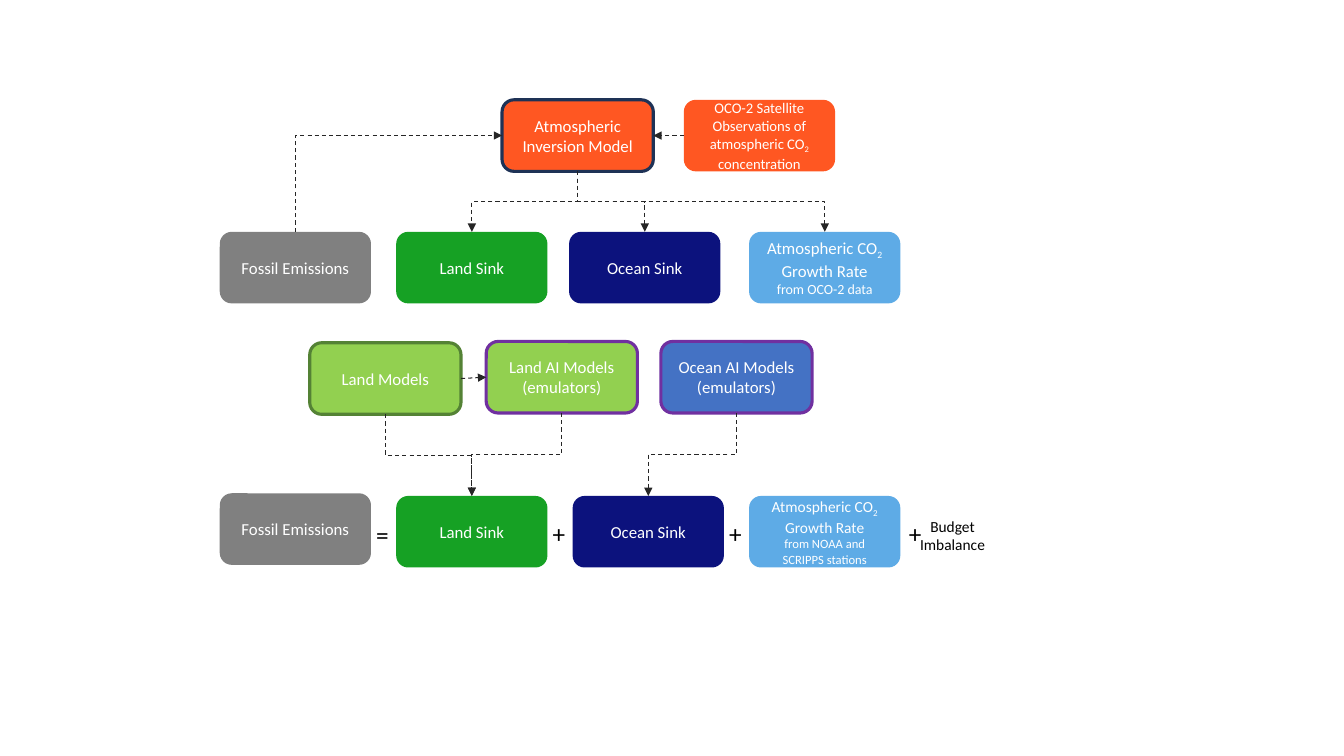
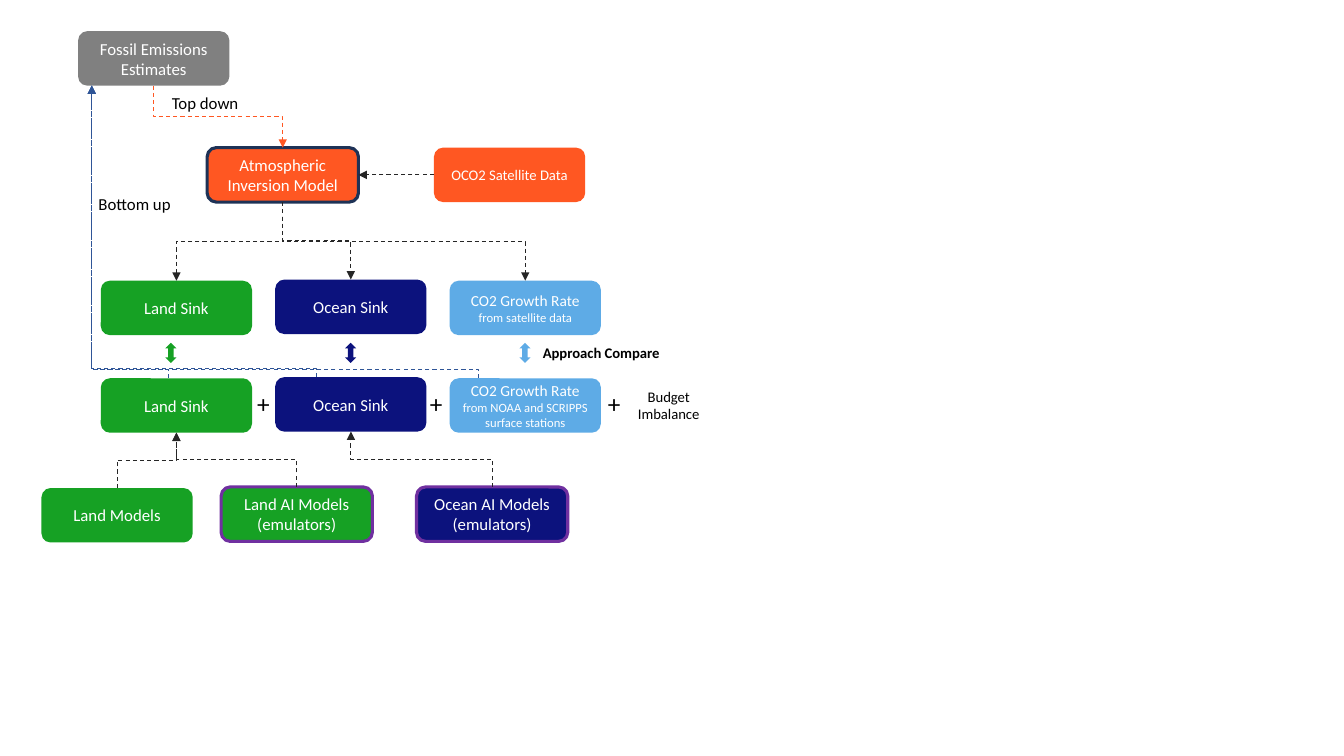
"""Build two flow charts of the carbon budget, one on each slide."""
from dataclasses import dataclass

from pptx import Presentation, util as u
from pptx.dml.color import RGBColor
from pptx.enum import dml, shapes, text
from pptx.oxml.ns import qn


@dataclass(frozen=True)
class Theme:
    font: str = "Calibri"
    white: str = "FFFFFF"
    black: str = "000000"
    ink: str = "262626"
    grey: str = "808080"
    fire: str = "FF5722"
    navy: str = "1E3256"
    land: str = "16A124"
    sea: str = "0C127D"
    sky: str = "5EABE6"
    lime: str = "92D050"
    moss: str = "548235"
    blue: str = "4472C4"
    plum: str = "7030A0"
    steel: str = "2F5597"
    sign: float = 18
    body: float = 12
    mid: float = 11
    note: float = 10.5
    sub: float = 10
    tiny: float = 9
    edge: float = 2.25
    hair: float = 0.75


T = Theme()
RGB = RGBColor.from_string
TOP, LEFT, BOTTOM, RIGHT = range(4)
LINE, BENT = shapes.MSO_CONNECTOR.STRAIGHT, shapes.MSO_CONNECTOR.ELBOW


def write(frame, rows, ink, align, bold=False):
    """Fill a frame with (words, size) rows; text between underscores is subscript."""
    for n, (words, size) in enumerate(rows):
        para = frame.paragraphs[0] if n == 0 else frame.add_paragraph()
        para.alignment = align
        para.font.name, para.font.size = T.font, u.Pt(size)
        para.font.bold, para.font.color.rgb = bold, RGB(ink)
        for k, part in enumerate(words.split("_")):
            run = para.add_run()
            run.text = part
            if k % 2:
                run.font._element.set("baseline", "-25000")


def trace(line, ink, bend=None, corner=False):
    """Style a connector as a dashed arrow; an elbow leaves its start vertically."""
    line.line.color.rgb, line.line.width = RGB(ink), u.Pt(T.hair)
    line.line.dash_style = dml.MSO_LINE.DASH
    props = line._element.spPr
    stroke = props.find(qn("a:ln"))
    stroke.append(stroke.makeelement(qn("a:tailEnd"), {"type": "triangle"}))
    props.append(props.makeelement(qn("a:effectLst"), {}))
    geom = props.find(qn("a:prstGeom"))
    if geom.get("prst") == "line":
        return
    x, y, dx, dy = line.begin_x, line.begin_y, line.end_x - line.begin_x, line.end_y - line.begin_y
    wide, high = abs(dy), abs(dx)
    line.left, line.top = int(x + (dx - wide) / 2), int(y + (dy - high) / 2)
    line.width, line.height = wide, high
    frame = props.find(qn("a:xfrm"))
    frame.set("rot", str(60000 * (270 if (dx > 0) == (dy > 0) else 90)))
    frame.set("flipH", str(int(dx > 0)))
    frame.set("flipV", str(int(dy < 0)))
    if corner:
        geom.set("prst", "bentConnector2")
    if bend:
        guides = geom.get_or_add_avLst()
        guides.append(guides.makeelement(
            qn("a:gd"), {"name": "adj1", "fmla": f"val {int(bend * 100000)}"}))


fossil = [("Fossil Emissions", T.body)]
sink = [("Land Sink", T.body)]
ocean = [("Ocean Sink", T.body)]
model = [("Land Models", T.body)]
landai = [("Land AI Models", T.body), ("(emulators)", T.body)]
seaai = [("Ocean AI Models", T.body), ("(emulators)", T.body)]
invert = [("Atmospheric Inversion Model", T.body)]
growth = "Atmospheric CO_2_ Growth Rate"

CHARTS = [
    dict(
        start=(2.18, 0.99), pitch=(1.75, 1.31), size=(1.5, 0.71),
        boxes={
            "invert": (1.6, 0, T.fire, T.navy, invert),
            "data": (2.63, 0, T.fire, None, [
                ("OCO-2 Satellite", T.note),
                ("Observations of atmospheric CO_2_ concentration", T.note)]),
            "fossil": (0, 1, T.grey, None, fossil),
            "land": (1, 1, T.land, None, sink),
            "sea": (1.98, 1, T.sea, None, ocean),
            "air": (3, 1, T.sky, None, [(growth, T.body), ("from OCO-2 data", T.sub)]),
            "model": (0.51, 1.84, T.lime, T.moss, model),
            "landai": (1.51, 1.83, T.lime, T.plum, landai),
            "seaai": (2.5, 1.83, T.blue, T.plum, seaai),
            "fossil2": (0, 2.98, T.grey, None, fossil),
            "land2": (1, 3, T.land, None, sink),
            "sea2": (2, 3, T.sea, None, ocean),
            "air2": (3, 3, T.sky, None, [
                (growth, T.mid), ("from NOAA and SCRIPPS stations", T.tiny)]),
        },
        links=[
            ("fossil", TOP, "invert", LEFT, BENT, T.ink),
            ("model", RIGHT, "landai", LEFT, LINE, T.ink),
            ("model", BOTTOM, "land2", TOP, BENT, T.ink),
            ("landai", BOTTOM, "land2", TOP, BENT, T.ink),
            ("seaai", BOTTOM, "sea2", TOP, BENT, T.ink),
        ],
        signs=[(0.83, 3.14, "="), (1.83, 3.13, "+"), (2.83, 3.13, "+"), (3.85, 3.13, "+")],
        notes=[(3.91, 3.12, 0.85, 0.47, [("Budget", T.mid), ("Imbalance", T.mid)], False)],
        swaps=[], rise=[],
    ),
    dict(
        start=(1, 0.31), pitch=(1.73, 1.1), size=(1.5, 0.54),
        boxes={
            "fossil": (-0.13, 0, T.grey, None, fossil + [("Estimates", T.body)]),
            "invert": (0.61, 1.05, T.fire, T.navy, invert),
            "data": (1.91, 1.05, T.fire, None, [("OCO2 Satellite Data", T.note)]),
            "land": (0, 2.25, T.land, None, sink),
            "sea": (1, 2.24, T.sea, None, ocean),
            "air": (2, 2.25, T.sky, None, [
                ("CO2 Growth Rate", T.mid), ("from satellite data", T.tiny)]),
            "land2": (0, 3.13, T.land, None, sink),
            "sea2": (1, 3.12, T.sea, None, ocean),
            "air2": (2, 3.13, T.sky, None, [
                ("CO2 Growth Rate", T.mid), ("from NOAA and SCRIPPS", T.tiny),
                ("surface stations", T.tiny)]),
            "model": (-0.34, 4.12, T.land, None, model),
            "landai": (0.69, 4.11, T.land, T.plum, landai),
            "seaai": (1.81, 4.11, T.sea, T.plum, seaai),
        },
        links=[
            ("fossil", BOTTOM, "invert", TOP, BENT, T.fire),
            ("model", TOP, "land2", BOTTOM, BENT, T.ink),
            ("landai", TOP, "land2", BOTTOM, BENT, T.ink),
            ("seaai", TOP, "sea2", BOTTOM, BENT, T.ink),
        ],
        signs=[(0.84, 3.18, "+"), (1.83, 3.18, "+"), (2.85, 3.18, "+")],
        notes=[
            (3.01, 3.17, 0.85, 0.47, [("Budget", T.note), ("Imbalance", T.note)], False),
            (-0.07, 1.42, 0.96, 0.3, [("Bottom up", T.body)], False),
            (0.35, 0.51, 0.96, 0.3, [("Top down", T.body)], False),
            (2.47, 2.77, 1.38, 0.28, [("Approach Compare", T.note)], True),
        ],
        swaps=[(0.37, T.land), (1.4, T.sea), (2.4, T.sky)],
        rise=[("land2", 0.45), ("sea2", 0.27), ("air2", 0.19)],
    ),
]
FAN = [("data", LEFT, "invert", RIGHT, LINE, T.ink)]
FAN += [("invert", BOTTOM, name, TOP, BENT, T.ink) for name in ("land", "sea", "air")]

deck = Presentation()
deck.slide_width, deck.slide_height = u.Inches(13.33), u.Inches(7.5)

for chart in CHARTS:
    page = deck.slides.add_slide(deck.slide_layouts[6]).shapes
    (x0, y0), (dx, dy) = chart["start"], chart["pitch"]
    wide, high = map(u.Inches, chart["size"])

    made = {}
    for name, (col, row, fill, edge, rows) in chart["boxes"].items():
        box = page.add_shape(shapes.MSO_SHAPE.ROUNDED_RECTANGLE,
                             u.Inches(x0 + col * dx), u.Inches(y0 + row * dy), wide, high)
        box.shadow.inherit = False
        box.fill.solid()
        box.fill.fore_color.rgb = RGB(fill)
        if edge:
            box.line.color.rgb, box.line.width = RGB(edge), u.Pt(T.edge)
        else:
            box.line.fill.background()
        box.text_frame.word_wrap = True
        box.text_frame.vertical_anchor = text.MSO_ANCHOR.MIDDLE
        write(box.text_frame, rows, T.white, text.PP_ALIGN.CENTER)
        made[name] = box

    for tail, out, head, into, kind, ink in FAN + chart["links"]:
        line = page.add_connector(kind, 0, 0, 0, 0)
        line.begin_connect(made[tail], out)
        line.end_connect(made[head], into)
        trace(line, ink, corner=into == LEFT)

    goal = made["fossil"]
    for name, share in chart["rise"]:
        box = made[name]
        line = page.add_connector(
            BENT, box.left + int(share * wide), box.top,
            goal.left + int(0.09 * wide), goal.top + high)
        trace(line, T.steel, bend=0.03)

    for col, fill in chart["swaps"]:
        swap = page.add_shape(shapes.MSO_SHAPE.UP_DOWN_ARROW, u.Inches(x0 + col * dx),
                              u.Inches(y0 + 2.81 * dy), u.Inches(0.11), u.Inches(0.2))
        swap.shadow.inherit = False
        swap.fill.solid()
        swap.fill.fore_color.rgb = RGB(fill)
        swap.line.fill.background()

    signs = [(col, row, 0.33, 0.4, [(mark, T.sign)], False) for col, row, mark in chart["signs"]]
    for col, row, w, h, rows, bold in signs + chart["notes"]:
        note = page.add_textbox(u.Inches(x0 + col * dx), u.Inches(y0 + row * dy),
                                u.Inches(w), u.Inches(h))
        note.text_frame.word_wrap = False
        note.text_frame.auto_size = text.MSO_AUTO_SIZE.SHAPE_TO_FIT_TEXT
        mid = bold or len(rows) > 1
        write(note.text_frame, rows, T.black,
              text.PP_ALIGN.CENTER if mid else text.PP_ALIGN.LEFT, bold)

deck.save("out.pptx")
